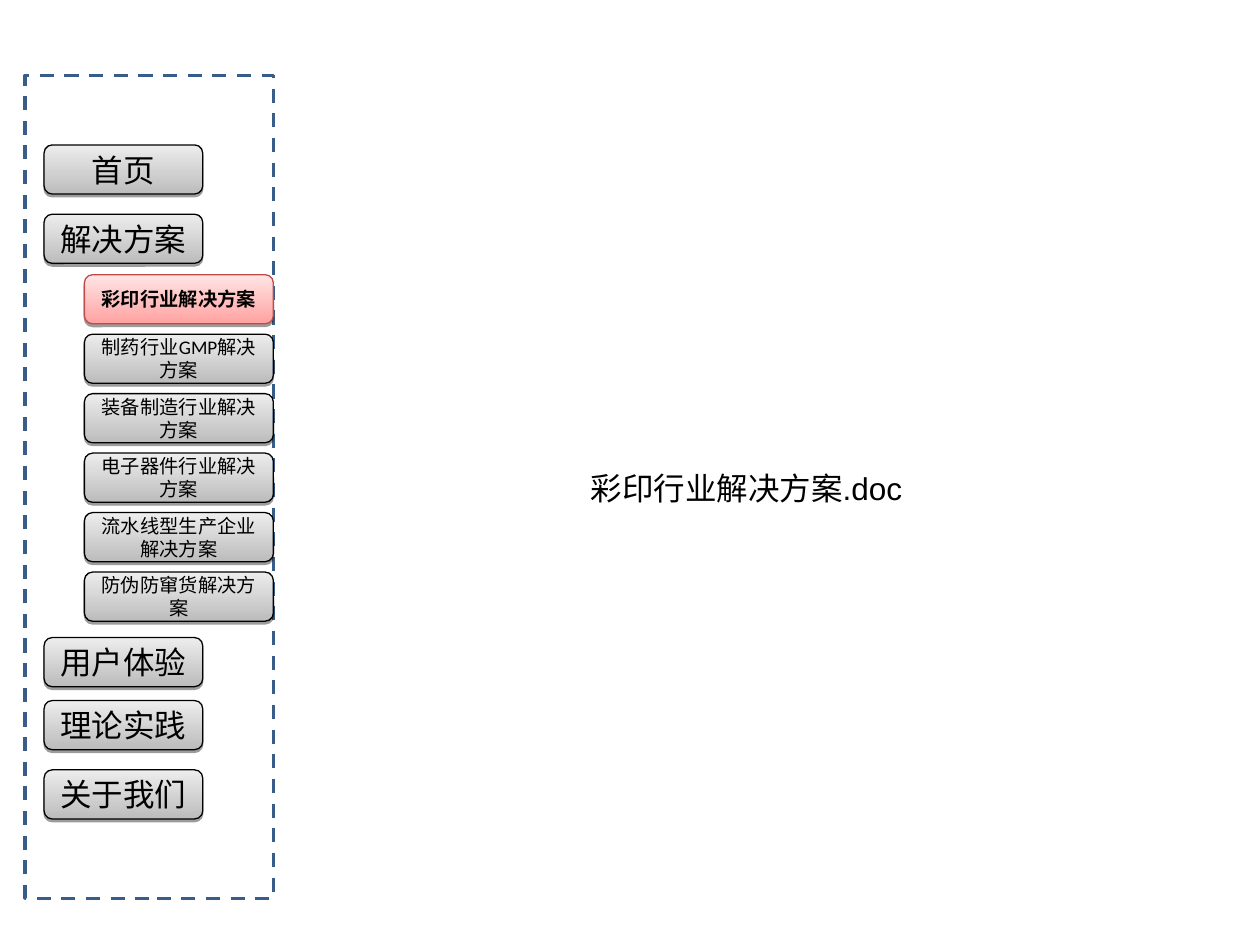
from lxml.etree import SubElement
from pptx import Presentation
from pptx.dml.color import RGBColor as RGB
from pptx.enum.dml import MSO_LINE
from pptx.enum.shapes import MSO_SHAPE as Shape
from pptx.enum.text import MSO_ANCHOR as Anchor, MSO_AUTO_SIZE as AutoSize, PP_ALIGN as Align
from pptx.oxml.ns import qn
from pptx.util import Inches, Pt

# Content: main entries with their tops, and the submenu
MAIN_MENU = [
    ("首页", 1.15),
    ("解决方案", 1.7),
    ("用户体验", 5.06),
    ("理论实践", 5.56),
    ("关于我们", 6.11),
]
SUBMENU = [
    "彩印行业解决方案",
    "制药行业GMP解决方案",
    "装备制造行业解决方案",
    "电子器件行业解决方案",
    "流水线型生产企业解决方案",
    "防伪防窜货解决方案",
]
ACTIVE = "彩印行业解决方案"
DOCUMENT = "彩印行业解决方案.doc"

THEME = {
    "text": "000000",
    "frame": "385D8A",
    "normal": {"bottom": "BCBCBC", "top": "EDEDED", "line": "000000"},
    "active": {"bottom": "FFA2A1", "top": "FFE5E5", "line": "BE4B48"},
    "main": {"name": "Calibri", "size": Pt(18)},
    "sub": {"name": "Calibri", "size": Pt(11)},
    "document": {"name": "Arial", "size": Pt(18)},
}
SHADOW = {"blurRad": 0, "dist": Pt(1.6), "dir": 90 * 60000, "rotWithShape": 0}

# Layout in inches
BUTTON_HEIGHT = 0.39
MAIN_LEFT, MAIN_WIDTH = 0.35, 1.26
SUB_LEFT, SUB_WIDTH = 0.67, 1.5
SUB_TOP, SUB_STEP = 2.18, 0.472


def color(name):
    return RGB.from_string(name)


def write(box, text, font_format, bold=False):
    para = box.text_frame.paragraphs[0]
    span = para.add_run()
    span.text = text
    for name, value in {**font_format, "bold": bold}.items():
        setattr(span.font, name, value)
    span.font.color.rgb = color(THEME["text"])
    return para


def add_shadow(box):
    box.shadow.inherit = False
    effects = box._element.spPr.find(qn("a:effectLst"))
    outer = SubElement(effects, qn("a:outerShdw"),
                       {name: str(value) for name, value in SHADOW.items()})
    tone = SubElement(outer, qn("a:srgbClr"), val="000000")
    SubElement(tone, qn("a:alpha"), val="38000")


def add_button(page, text, left, top, width, font_format, active=False):
    look = THEME["active" if active else "normal"]
    box = page.shapes.add_shape(Shape.ROUNDED_RECTANGLE, Inches(left), Inches(top),
                                Inches(width), Inches(BUTTON_HEIGHT))
    box.fill.gradient()
    box.fill.gradient_angle = 90
    for stop, part in zip(box.fill.gradient_stops, ("bottom", "top")):
        stop.color.rgb = color(look[part])
    box.line.color.rgb = color(look["line"])
    box.line.width = Pt(0.75)
    add_shadow(box)
    box.text_frame.word_wrap = True
    box.text_frame.vertical_anchor = Anchor.MIDDLE
    write(box, text, font_format, active).alignment = Align.CENTER


def main():
    deck = Presentation()
    deck.slide_width, deck.slide_height = Inches(10), Inches(7.5)
    page = deck.slides.add_slide(deck.slide_layouts[6])

    # Dashed menu frame
    frame = page.shapes.add_shape(Shape.RECTANGLE, Inches(0.2), Inches(0.6),
                                  Inches(1.97), Inches(6.53))
    frame.shadow.inherit = False
    frame.fill.background()
    frame.line.color.rgb = color(THEME["frame"])
    frame.line.width = Pt(2)
    frame.line.dash_style = MSO_LINE.DASH

    # Menu buttons
    for text, top in MAIN_MENU:
        add_button(page, text, MAIN_LEFT, top, MAIN_WIDTH, THEME["main"])
    for row, text in enumerate(SUBMENU):
        add_button(page, text, SUB_LEFT, SUB_TOP + row * SUB_STEP, SUB_WIDTH,
                   THEME["sub"], text == ACTIVE)

    # Document name
    label = page.shapes.add_textbox(Inches(4.59), Inches(3.67), Inches(2.73), Inches(0.7))
    label.text_frame.word_wrap = False
    label.text_frame.auto_size = AutoSize.SHAPE_TO_FIT_TEXT
    write(label, DOCUMENT, THEME["document"])

    deck.save("out.pptx")


if __name__ == "__main__":
    main()
